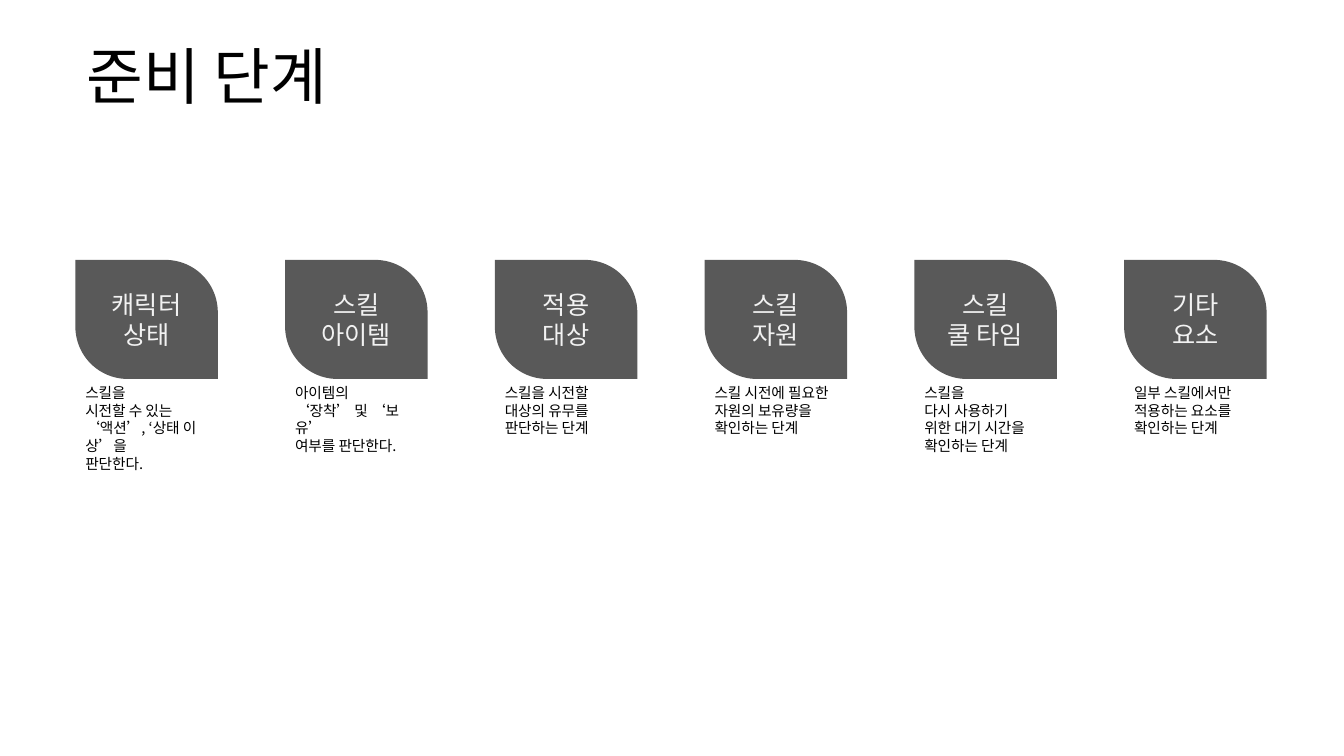
from lxml import etree
from pptx import Presentation
from pptx.dml.color import RGBColor
from pptx.enum import shapes, text
from pptx.oxml import ns
from pptx.util import Cm, Pt

# Content: step name lines, description paragraphs, description width in cm
TITLE = "준비 단계"
STEPS = [
    (["캐릭터", "상태"],
     ["스킬을", "시전할 수 있는", "‘액션’, ‘상태 이상’을", "판단한다."], 3.78),
    (["스킬", "아이템"],
     ["아이템의", "‘장착’ 및 ‘보유’", "여부를 판단한다."], 3.59),
    (["적용", "대상"],
     ["스킬을 시전할", "대상의 유무를", "판단하는 단계"], 3.59),
    (["스킬", "자원"],
     ["스킬 시전에 필요한 자원의 보유량을", "확인하는 단계"], 3.78),
    (["스킬", "쿨 타임"],
     ["스킬을", "다시 사용하기", "위한 대기 시간을", "확인하는 단계"], 3.59),
    (["기타", "요소"],
     ["일부 스킬에서만 적용하는 요소를", "확인하는 단계"], 3.59),
]
FONT = "Noto Sans CJK KR"
COLORS = {"ink": "000000", "step": "595959", "step_text": "F2F2F2"}

# Layout in cm
FIRST_LEFT, LAST_LEFT = 1.9, 28.33
PITCH = (LAST_LEFT - FIRST_LEFT) / (len(STEPS) - 1)
STEP_TOP, STEP_WIDTH, STEP_HEIGHT = 6.55, 3.59, 3.0
LINE_HEIGHT, PADDING = 0.45, 0.25


def write(frame, lines, size, color, align, anchor):
    frame.word_wrap = True
    frame.vertical_anchor = anchor
    for i, line in enumerate(lines):
        paragraph = frame.paragraphs[0] if i == 0 else frame.add_paragraph()
        paragraph.text = line
        paragraph.alignment = align
        font = paragraph.font
        font.size = Pt(size)
        font.name = FONT
        font.color.rgb = RGBColor.from_string(COLORS[color])
        # Korean text takes the East Asian typeface
        etree.SubElement(font._element, ns.qn("a:ea"), typeface=FONT)


prs = Presentation()
prs.slide_width, prs.slide_height = Cm(33.87), Cm(19.05)
slide = prs.slides.add_slide(prs.slide_layouts[6])

# Title
title = slide.shapes.add_textbox(Cm(1.93), Cm(0.81), Cm(30), Cm(2.39))
write(title.text_frame, [TITLE], 44, "ink", text.PP_ALIGN.LEFT, text.MSO_ANCHOR.MIDDLE)
title.text_frame.paragraphs[0].line_spacing = 0.9

# Steps with their descriptions underneath
for i, (name, description, width) in enumerate(STEPS):
    left = Cm(FIRST_LEFT + i * PITCH)
    step = slide.shapes.add_shape(
        shapes.MSO_SHAPE.ROUND_2_DIAG_RECTANGLE,
        left, Cm(STEP_TOP), Cm(STEP_WIDTH), Cm(STEP_HEIGHT))
    step.adjustments[0], step.adjustments[1] = 0, 0.44
    step.shadow.inherit = False
    step.fill.solid()
    step.fill.fore_color.rgb = RGBColor.from_string(COLORS["step"])
    step.line.fill.background()
    write(step.text_frame, name, 18, "step_text",
          text.PP_ALIGN.CENTER, text.MSO_ANCHOR.MIDDLE)

    height = max(3, len(description)) * LINE_HEIGHT + PADDING
    note = slide.shapes.add_textbox(
        left, Cm(STEP_TOP + STEP_HEIGHT), Cm(width), Cm(height))
    write(note.text_frame, description, 10.5, "ink",
          text.PP_ALIGN.LEFT, text.MSO_ANCHOR.TOP)

prs.save("out.pptx")
